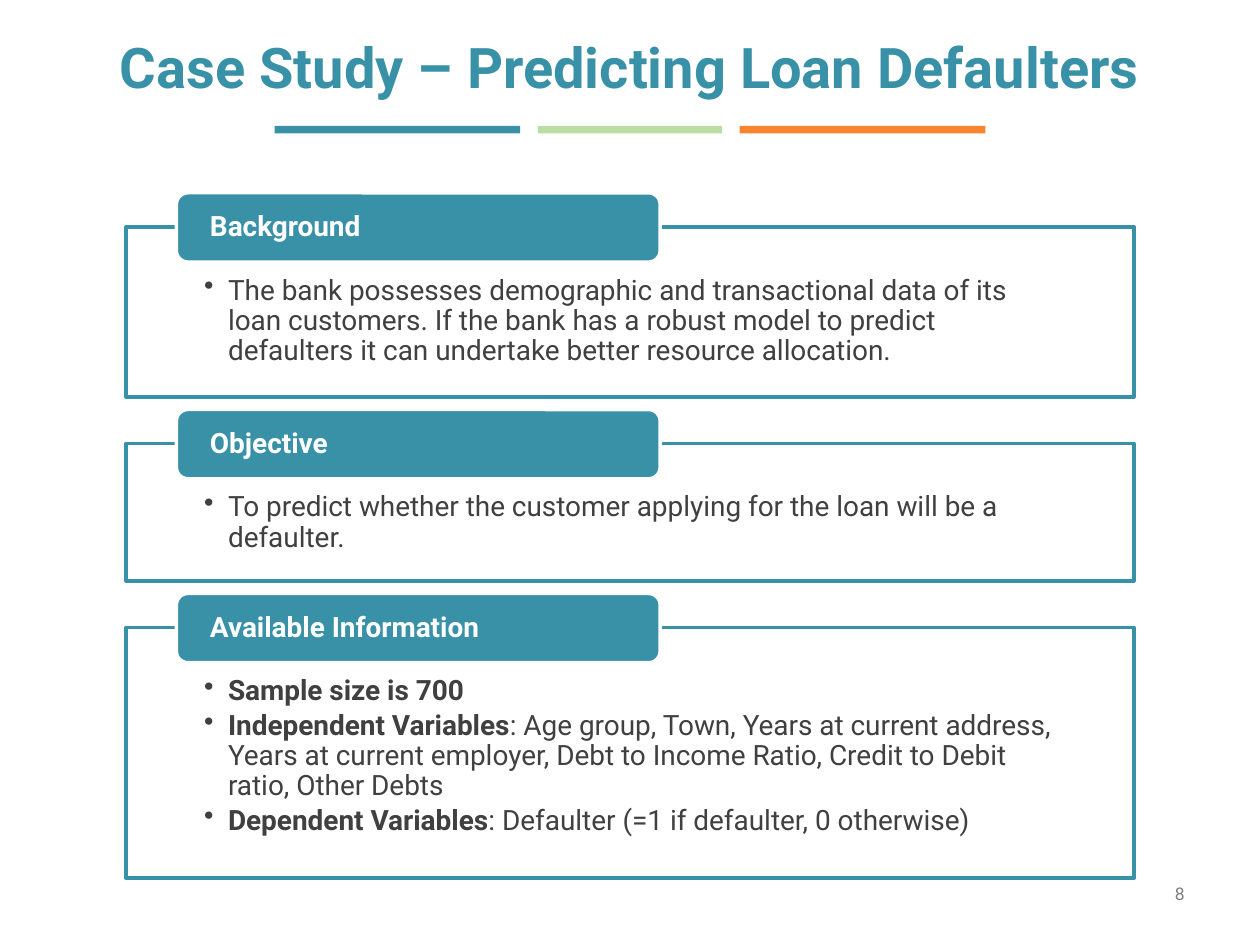
from lxml.etree import SubElement
from pptx import Presentation
from pptx.dml.color import RGBColor
from pptx.enum.shapes import MSO_SHAPE
from pptx.enum.text import MSO_ANCHOR, PP_ALIGN
from pptx.oxml.ns import qn
from pptx.util import Inches, Pt

COLORS = {
    "teal": "3891A7",
    "green": "BBDDA3",
    "orange": "F88631",
    "white": "FFFFFF",
    "body": "404040",
    "number": "808080",
}
FONT = "Roboto"
COLUMNS, ROWS = 100, 75
CELL = Inches(0.1)

# Each section: heading, panel height in rows, bullets made of (text, bold) runs.
SECTIONS = [
    ("Background", 13.5, [
        [("The bank possesses demographic and transactional data of its loan "
          "customers. If the bank has a robust model to predict defaulters it "
          "can undertake better resource allocation.", False)],
    ]),
    ("Objective", 10.9, [
        [("To predict whether the customer applying for the loan will be a "
          "defaulter.", False)],
    ]),
    ("Available Information", 19.9, [
        [("Sample size is 700", True)],
        [("Independent Variables", True),
         (": Age group, Town, Years at current address, Years at current "
          "employer, Debt to Income Ratio, Credit to Debit ratio, Other Debts",
          False)],
        [("Dependent Variables", True),
         (": Defaulter (=1 if defaulter, 0 otherwise)", False)],
    ]),
]


def grid(*cells):
    return [round(cell * CELL) for cell in cells]


def rgb(name):
    return RGBColor.from_string(COLORS[name])


def add_bullet(paragraph, indent):
    properties = paragraph._p.get_or_add_pPr()
    properties.set("marL", str(indent))
    properties.set("indent", str(-indent))
    SubElement(properties, qn("a:buChar")).set("char", "•")


def write(frame, paragraphs, size=16, color="body", align=PP_ALIGN.LEFT,
          anchor=MSO_ANCHOR.MIDDLE, insets=(1, 0.5, 1, 0.5), spacing=1,
          after=0, bullet_indent=None):
    """Fill a text frame with paragraphs, each a list of (text, bold) runs."""
    frame.word_wrap = True
    frame.vertical_anchor = anchor
    (frame.margin_left, frame.margin_top,
     frame.margin_right, frame.margin_bottom) = grid(*insets)
    for index, runs in enumerate(paragraphs):
        paragraph = frame.add_paragraph() if index else frame.paragraphs[0]
        if bullet_indent:
            add_bullet(paragraph, grid(bullet_indent)[0])
        paragraph.alignment = align
        paragraph.line_spacing = spacing
        paragraph.space_after = Pt(after)
        for text, bold in runs:
            run = paragraph.add_run()
            run.text = text
            run.font.name = FONT
            run.font.size = Pt(size)
            run.font.bold = bold
            run.font.color.rgb = rgb(color)


def add_block(slide, kind, box, fill, line=None):
    block = slide.shapes.add_shape(kind, *grid(*box))
    block.shadow.inherit = False
    block.fill.solid()
    block.fill.fore_color.rgb = rgb(fill)
    if line:
        block.line.color.rgb = rgb(line)
        block.line.width = Pt(2)
    else:
        block.line.fill.background()
    return block


def add_title(slide, box, text):
    title = slide.shapes.add_textbox(*grid(*box))
    write(title.text_frame, [[(text, True)]], size=32, color="teal",
          align=PP_ALIGN.CENTER)


def add_divider(slide, box, gap=1.4):
    """Draw a row of coloured bars whose widths share the box."""
    left, top, width, height = box
    bars = [("teal", 4), ("green", 3), ("orange", 4)]
    unit = (width - gap * (len(bars) - 1)) / sum(share for _, share in bars)
    for color, share in bars:
        add_block(slide, MSO_SHAPE.RECTANGLE,
                  (left, top, share * unit, height), color)
        left += share * unit + gap


def add_section(slide, box, heading, bullets):
    """Draw a framed panel with its heading tab across the top edge."""
    left, top, width, _ = box
    panel = add_block(slide, MSO_SHAPE.RECTANGLE, box, "white", "teal")
    write(panel.text_frame, bullets, anchor=MSO_ANCHOR.TOP,
          insets=(6.2, 3.9, 6.2, 1.2), spacing=0.9, after=2.4,
          bullet_indent=1.9)
    tab_box = (left + width * 0.05, top - 2.7, width * 0.48, 5.5)
    tab = add_block(slide, MSO_SHAPE.ROUNDED_RECTANGLE, tab_box, "teal", "white")
    write(tab.text_frame, [[(heading, True)]], color="white",
          insets=(2.4, 0, 2.4, 0), spacing=0.9)


def add_sections(slide, left, top, width, gap=3.7):
    for heading, height, bullets in SECTIONS:
        add_section(slide, (left, top, width, height), heading, bullets)
        top += height + gap


def add_page_number(slide, box, number):
    page = slide.shapes.add_textbox(*grid(*box))
    write(page.text_frame, [[(number, False)]], size=10, color="number",
          align=PP_ALIGN.RIGHT)


def main():
    deck = Presentation()
    deck.slide_width, deck.slide_height = grid(COLUMNS, ROWS)
    slide = deck.slides.add_slide(deck.slide_layouts[6])
    add_title(slide, (2.5, 0.8, 95, 8.9),
              "Case Study – Predicting Loan Defaulters")
    add_divider(slide, (21.8, 10, 56.4, 0.6))
    add_page_number(slide, (71.7, 68.3, 23.3, 5.2), "8")
    add_sections(slide, left=10, top=18, width=80)
    deck.save("out.pptx")


if __name__ == "__main__":
    main()
